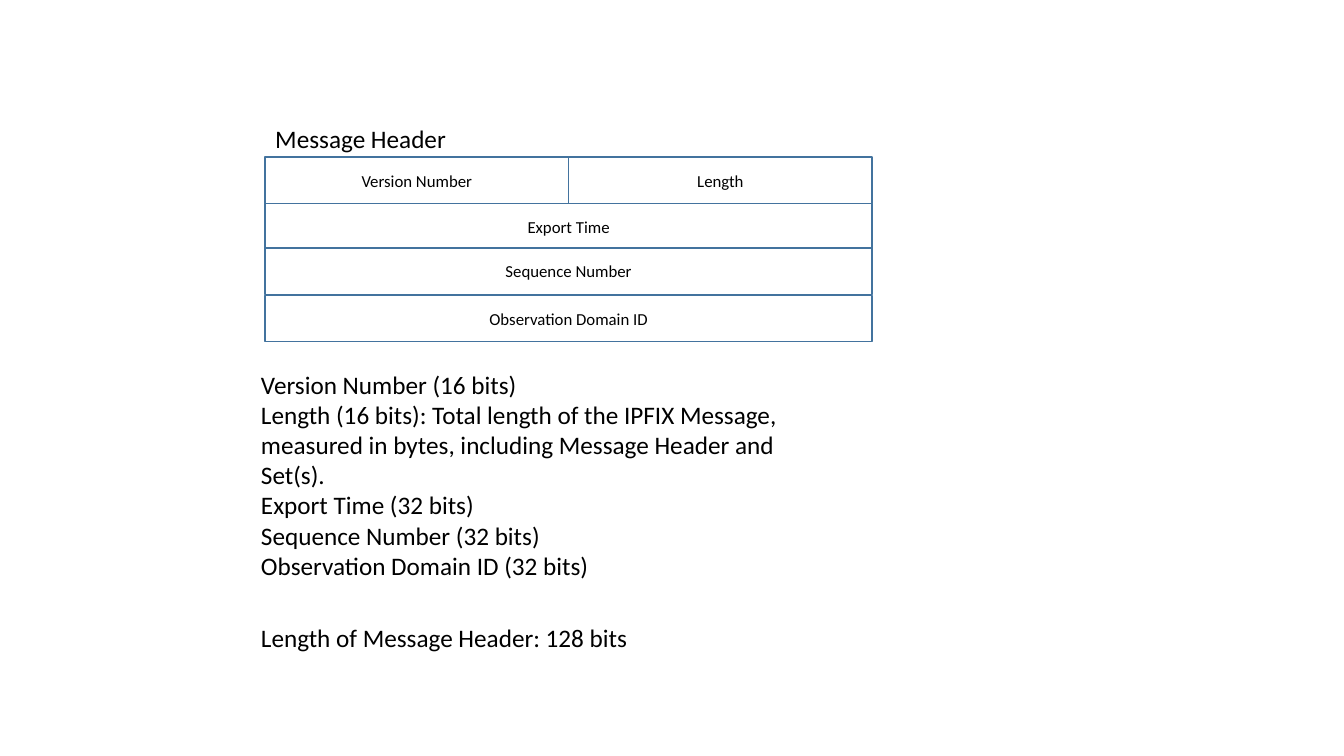
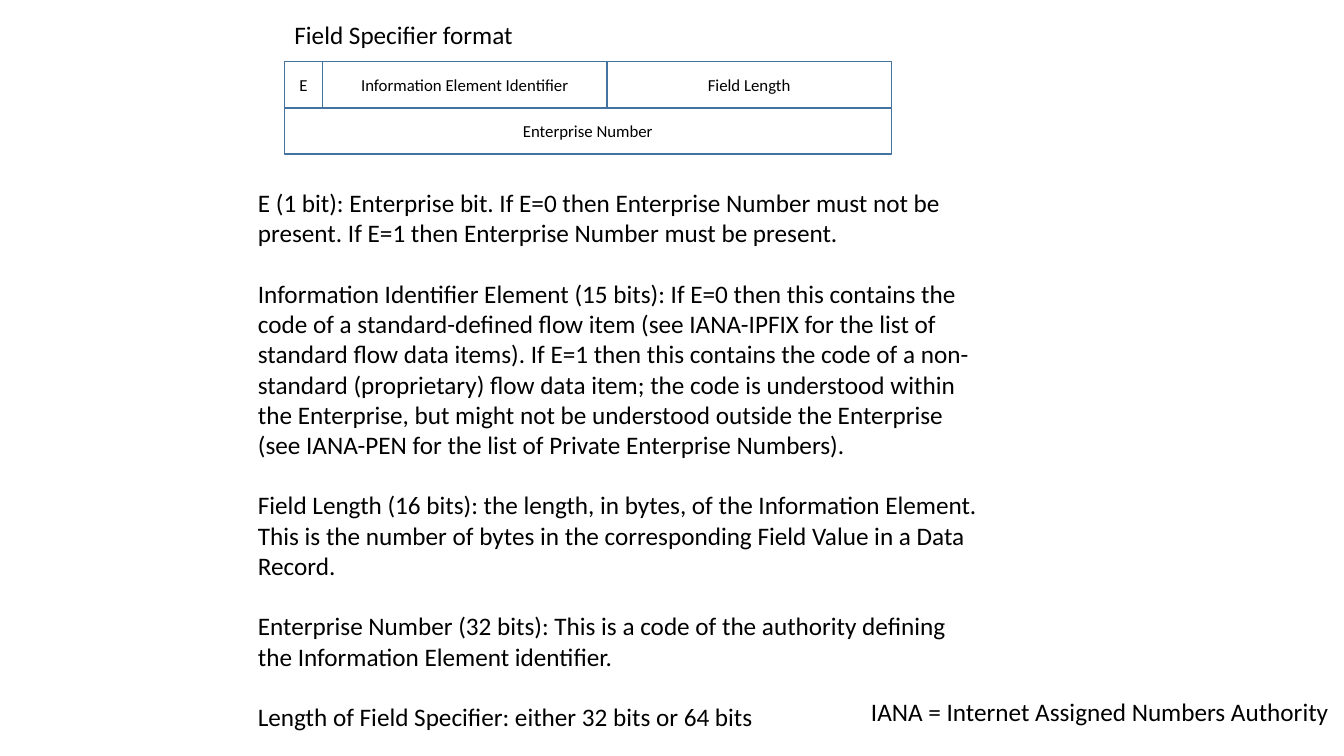
import pptx
import pptx.util
import pptx.dml.color
import pptx.enum.shapes
import pptx.enum.text

Inches = pptx.util.Inches
Pt = pptx.util.Pt
ANCHOR = pptx.enum.text.MSO_ANCHOR
ALIGN = pptx.enum.text.PP_ALIGN

BLACK = pptx.dml.color.RGBColor(0x00, 0x00, 0x00)
WHITE = pptx.dml.color.RGBColor(0xFF, 0xFF, 0xFF)
BLUE = pptx.dml.color.RGBColor(0x43, 0x73, 0x9E)
FONT = "Calibri"
LINE_GAP = Pt(21.6)  # one line of 18 pt text
ROW_H = 0.46


def set_text(sp, lines, size=18, align=ALIGN.LEFT, anchor=ANCHOR.TOP, wrap=True, gap=0):
    tf = sp.text_frame
    tf.text = "\n".join(lines)
    tf.word_wrap = wrap
    tf.auto_size = pptx.enum.text.MSO_AUTO_SIZE.NONE
    tf.vertical_anchor = anchor
    for p in tf.paragraphs:
        p.alignment = align
        p.space_after = gap
        p.font.name = FONT
        p.font.size = Pt(size)
        p.font.color.rgb = BLACK


# Each row is its top and its cells; each text is its box, lines, wrap and gap
slides = [
    {
        "title": ("Message Header", (2.63, 1.17, 1.91, 0.4)),
        "rows": [
            (1.56, [("Version Number", 3.01), ("Length", 3.01)]),
            (2.02, [("Export Time", 6.02)]),
            (2.46, [("Sequence Number", 6.02)]),
            (2.93, [("Observation Domain ID", 6.02)]),
        ],
        "texts": [
            ((2.49, 3.61, 5.71, 2.22), [
                "Version Number (16 bits)",
                "Length (16 bits): Total length of the IPFIX Message, measured in "
                "bytes, including Message Header and Set(s).",
                "Export Time (32 bits)",
                "Sequence Number (32 bits)",
                "Observation Domain ID (32 bits)",
            ], True, 0),
            ((2.49, 6.12, 3.88, 0.4), ["Length of Message Header: 128 bits"], False, 0),
        ],
    },
    {
        "title": ("Field Specifier format", (2.82, 0.14, 2.39, 0.4)),
        "rows": [
            (0.61, [("E", 0.38), ("Information Element Identifier", 2.82),
                    ("Field Length", 2.82)]),
            (1.07, [("Enterprise Number", 6.02)]),
        ],
        "texts": [
            ((2.46, 1.81, 7.4, 5.55), [
                "E (1 bit): Enterprise bit. If E=0 then Enterprise Number must not be "
                "present. If E=1 then Enterprise Number must be present.",
                "Information Identifier Element (15 bits): If E=0 then this contains "
                "the code of a standard-defined flow item (see IANA-IPFIX for the list "
                "of standard flow data items). If E=1 then this contains the code of a "
                "non-standard (proprietary) flow data item; the code is understood "
                "within the Enterprise, but might not be understood outside the "
                "Enterprise (see IANA-PEN for the list of Private Enterprise Numbers).",
                "Field Length (16 bits): the length, in bytes, of the Information "
                "Element. This is the number of bytes in the corresponding Field Value "
                "in a Data Record.",
                "Enterprise Number (32 bits): This is a code of the authority defining "
                "the Information Element identifier.",
                "Length of Field Specifier: either 32 bits or 64 bits",
            ], True, LINE_GAP),
            ((8.54, 6.86, 4.79, 0.4), ["IANA = Internet Assigned Numbers Authority"],
             False, 0),
        ],
    },
]

prs = pptx.Presentation()
prs.slide_width = Inches(13.33)
prs.slide_height = Inches(7.5)

for content in slides:
    s = prs.slides.add_slide(prs.slide_layouts[5])

    # Title above the packet diagram
    heading, box = content["title"]
    title = s.shapes.title
    title.left, title.top, title.width, title.height = [Inches(v) for v in box]
    set_text(title, [heading], wrap=False)

    # Packet diagram: rows of fields, aligned with the title
    for top, fields in content["rows"]:
        left = box[0]
        for name, width in fields:
            sp = s.shapes.add_shape(
                pptx.enum.shapes.MSO_SHAPE.RECTANGLE,
                Inches(left), Inches(top), Inches(width), Inches(ROW_H))
            sp.shadow.inherit = False
            sp.fill.solid()
            sp.fill.fore_color.rgb = WHITE
            sp.line.color.rgb = BLUE
            sp.line.width = Pt(1)
            set_text(sp, [name], 12, ALIGN.CENTER, ANCHOR.MIDDLE)
            left += width

    # Field descriptions and notes
    for text_box, lines, wrap, gap in content["texts"]:
        sp = s.shapes.add_textbox(*[Inches(v) for v in text_box])
        set_text(sp, lines, wrap=wrap, gap=gap)

prs.save("out.pptx")
